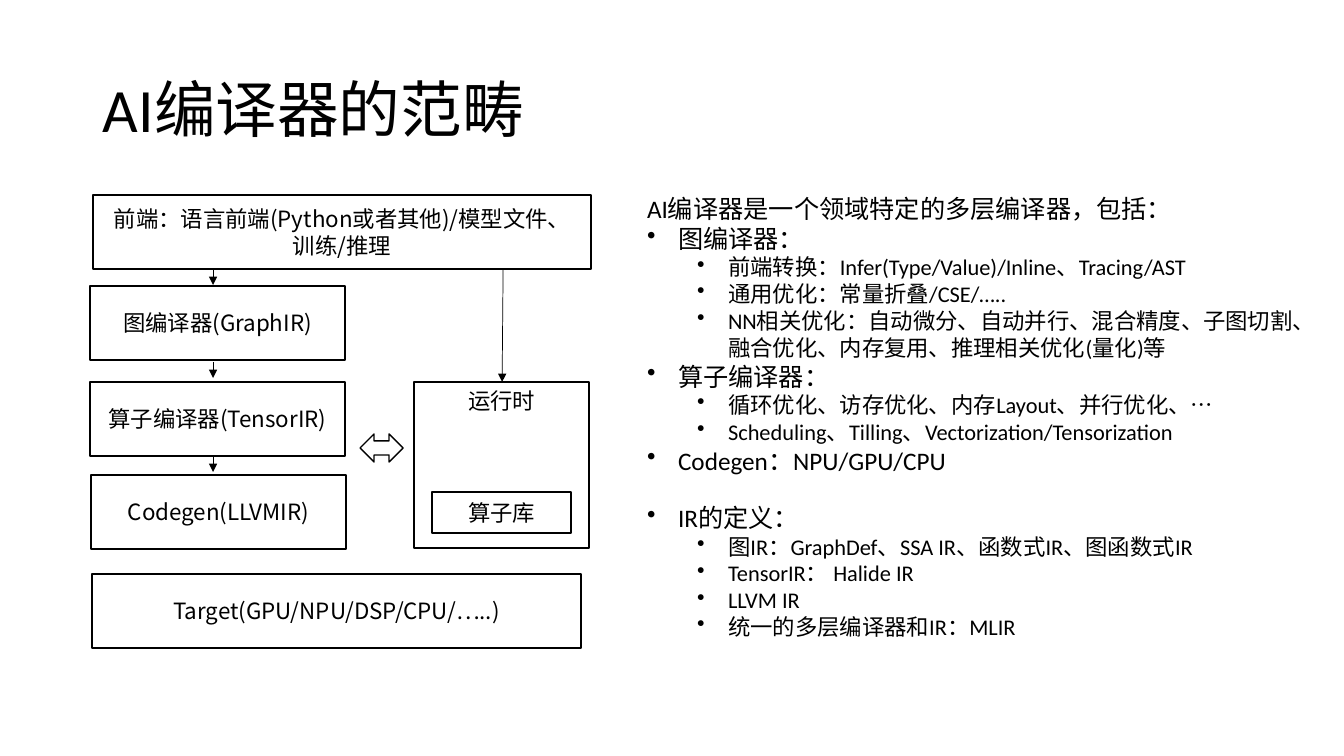
from pptx import Presentation
from pptx.dml.color import RGBColor
from pptx.enum.shapes import MSO_CONNECTOR, MSO_SHAPE
from pptx.enum.text import MSO_ANCHOR, PP_ALIGN
from pptx.oxml.ns import qn
from pptx.util import Inches, Pt
from lxml.etree import SubElement

BLACK = RGBColor(0, 0, 0)
WHITE = RGBColor(255, 255, 255)
LATIN = "Calibri"
HAN = "Noto Sans CJK SC"
SCALE = Inches(1) / 100.8

# Each point: level (0 for plain text), wording
POINTS = [
    (0, "AI编译器是一个领域特定的多层编译器，包括："),
    (1, "图编译器："),
    (2, "前端转换：Infer(Type/Value)/Inline、Tracing/AST"),
    (2, "通用优化：常量折叠/CSE/….."),
    (2, "NN相关优化：自动微分、自动并行、混合精度、子图切割、"
        "融合优化、内存复用、推理相关优化(量化)等"),
    (1, "算子编译器："),
    (2, "循环优化、访存优化、内存Layout、并行优化、…"),
    (2, "Scheduling、Tilling、Vectorization/Tensorization"),
    (1, "Codegen：NPU/GPU/CPU"),
    (1, "IR的定义："),
    (2, "图IR：GraphDef、SSA IR、函数式IR、图函数式IR"),
    (2, "TensorIR： Halide IR"),
    (2, "LLVM IR"),
    (2, "统一的多层编译器和IR：MLIR"),
]
LAST_PART = "IR的定义："
STAGES = [
    (90, 286, "图编译器(GraphIR)"),
    (90, 382, "算子编译器(TensorIR)"),
    (91, 475, "Codegen(LLVMIR)"),
]


def px(num):
    """Turn pixels into EMU."""
    return round(num * SCALE)


def style(para, size, font):
    """Format all runs of a paragraph."""
    for run in para.runs:
        run.font.size = Pt(size)
        run.font.color.rgb = BLACK
        run.font.name = font
        SubElement(run.font._element, qn("a:ea")).set("typeface", HAN)


def add_text(slide, left, top, width, height):
    """Add a wrapping text box and return its frame."""
    box = slide.shapes.add_textbox(px(left), px(top), px(width), px(height))
    box.text_frame.word_wrap = True
    return box.text_frame


def add_box(slide, left, top, width, height, text="",
            kind=MSO_SHAPE.RECTANGLE, anchor=MSO_ANCHOR.MIDDLE):
    """Add a white, black-edged shape with centred text."""
    box = slide.shapes.add_shape(kind, px(left), px(top), px(width), px(height))
    box.shadow.inherit = False
    box.fill.solid()
    box.fill.fore_color.rgb = WHITE
    box.line.color.rgb = BLACK
    box.line.width = Pt(1)
    frame = box.text_frame
    frame.word_wrap = True
    frame.vertical_anchor = anchor
    para = frame.paragraphs[0]
    para.text = text
    para.alignment = PP_ALIGN.CENTER
    style(para, 16, HAN)


def add_arrow(slide, start, end):
    """Add a thin arrow that points at its end."""
    arrow = slide.shapes.add_connector(
        MSO_CONNECTOR.STRAIGHT, *map(px, start + end))
    arrow.line.color.rgb = BLACK
    arrow.line.width = Pt(0.5)
    props = arrow._element.spPr
    SubElement(props.find(qn("a:ln")), qn("a:tailEnd")).set("type", "triangle")
    SubElement(props, qn("a:effectLst"))


def add_title(slide, text):
    """Add the slide heading."""
    frame = add_text(slide, 93, 40, 1159, 146)
    frame.vertical_anchor = MSO_ANCHOR.MIDDLE
    para = frame.paragraphs[0]
    para.text = text
    para.line_spacing = 0.9
    style(para, 44, LATIN)


def add_bullet(para, level):
    """Give a paragraph a hanging bullet for its level."""
    para.level = level - 1
    props = para._p.get_or_add_pPr()
    props.set("marL", str(px(31 + 50 * (level - 1))))
    props.set("indent", str(-px(31)))
    SubElement(props, qn("a:buChar")).set("char", "•")


def add_points(slide):
    """Add the outline on the right."""
    frame = add_text(slide, 637, 188, 685, 475)
    frame.text = "\n".join(text for _, text in POINTS)
    for para, (level, text) in zip(frame.paragraphs, POINTS):
        if text == LAST_PART:
            para.space_before = Pt(19.5)
        if level:
            add_bullet(para, level)
        style(para, 16 if level == 2 else 18, LATIN)


def add_stack(slide):
    """Add the compiler diagram on the left."""
    add_box(slide, 93, 195, 498, 74,
            "前端：语言前端(Python或者其他)/模型文件、训练/推理")
    add_box(slide, 92, 574, 489, 74, "Target(GPU/NPU/DSP/CPU/…..)")
    add_box(slide, 414, 382, 175, 166, "运行时", anchor=MSO_ANCHOR.TOP)
    add_box(slide, 432, 492, 139, 41, "算子库")
    add_arrow(slide, (503, 270), (502, 382))
    for left, top, text in STAGES:
        add_box(slide, left, top, 255, 74, text)
    for top in (269, 362, 456):
        add_arrow(slide, (213, top), (213, top + 16))
    add_box(slide, 360, 434, 43, 28, kind=MSO_SHAPE.LEFT_RIGHT_ARROW)


def main():
    """Build and save the slide."""
    deck = Presentation()
    deck.slide_width = Inches(13.33)
    deck.slide_height = Inches(7.5)
    slide = deck.slides.add_slide(deck.slide_layouts[6])
    add_title(slide, "AI编译器的范畴")
    add_points(slide)
    add_stack(slide)
    deck.save("out.pptx")


main()
